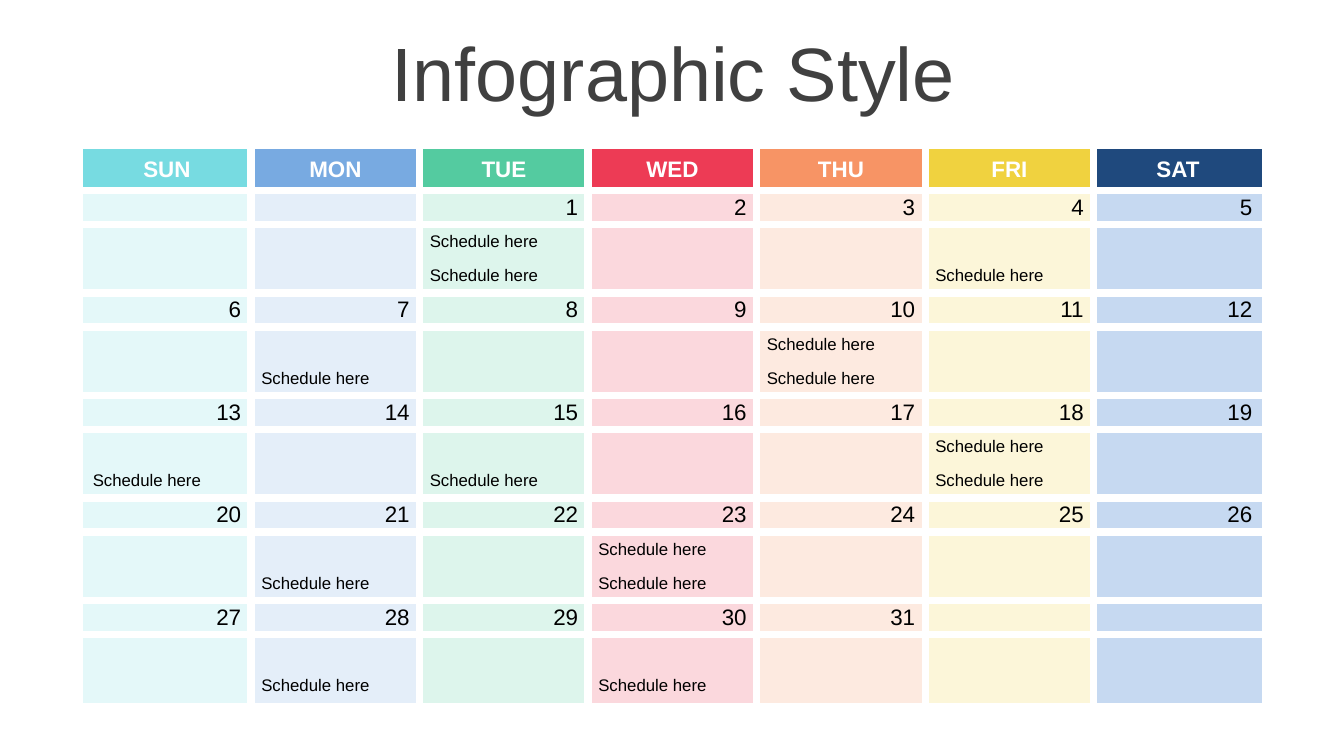
import pptx
import pptx.util
import pptx.dml.color
import pptx.enum.text
import pptx.oxml
import pptx.oxml.ns

Inches = pptx.util.Inches
Pt = pptx.util.Pt
RGBColor = pptx.dml.color.RGBColor
ALIGN = pptx.enum.text.PP_ALIGN
MIDDLE = pptx.enum.text.MSO_ANCHOR.MIDDLE

WHITE = RGBColor(0xFF, 0xFF, 0xFF)
BLACK = RGBColor(0x00, 0x00, 0x00)
TITLE_GREY = RGBColor(0x40, 0x40, 0x40)

# Weekday, header colour, day colour
WEEKDAYS = [
    ("SUN", RGBColor(0x77, 0xDB, 0xE1), RGBColor(0xE4, 0xF8, 0xF9)),
    ("MON", RGBColor(0x78, 0xAA, 0xE1), RGBColor(0xE4, 0xEE, 0xF9)),
    ("TUE", RGBColor(0x54, 0xCB, 0xA0), RGBColor(0xDD, 0xF5, 0xEC)),
    ("WED", RGBColor(0xED, 0x3B, 0x55), RGBColor(0xFB, 0xD8, 0xDD)),
    ("THU", RGBColor(0xF7, 0x94, 0x65), RGBColor(0xFD, 0xEA, 0xE0)),
    ("FRI", RGBColor(0xF0, 0xD2, 0x3F), RGBColor(0xFC, 0xF6, 0xD9)),
    ("SAT", RGBColor(0x1F, 0x49, 0x7D), RGBColor(0xC6, 0xD9, 0xF1)),
]
WEEKS = 5
ROWS_PER_WEEK = 3
BODY_ROWS = WEEKS * ROWS_PER_WEEK
FIRST_COLUMN = 2  # day 1 is a Tuesday
LAST_DAY = 31
# Number of schedule entries on each day
ENTRIES = {1: 2, 4: 1, 7: 1, 10: 2, 13: 1, 15: 1, 18: 2, 21: 1, 23: 2, 28: 1, 30: 1}
NO_GRID_STYLE = "{2D5ABB26-0587-4C30-8999-92F81FD0307C}"


def add_text(para, text, size, color, align, bold=False):
    para.alignment = align
    span = para.add_run()
    span.text = text
    span.font.name = "Arial"
    span.font.size = Pt(size)
    span.font.bold = bold
    span.font.color.rgb = color


def style_cell(cell, fill, sides, side_margin):
    """Add white borders on the given sides, then fill and margins."""
    cell.vertical_anchor = MIDDLE
    cell.margin_left = cell.margin_right = Inches(side_margin)
    cell.margin_top = cell.margin_bottom = 0
    properties = cell._tc.get_or_add_tcPr()
    for side in sides:
        properties.append(pptx.oxml.parse_xml(
            f'<a:ln{side} {pptx.oxml.ns.nsdecls("a")} w="{Pt(6)}">'
            f'<a:solidFill><a:srgbClr val="{WHITE}"/></a:solidFill></a:ln{side}>'))
    cell.fill.solid()
    cell.fill.fore_color.rgb = fill


deck = pptx.Presentation()
deck.slide_width = Inches(13.33)
deck.slide_height = Inches(7.5)
page = deck.slides.add_slide(deck.slide_layouts[6])

# Title
box = page.shapes.add_textbox(Inches(0.35), Inches(0.37), Inches(12.66), Inches(0.79))
box.text_frame.word_wrap = True
box.text_frame.vertical_anchor = MIDDLE
para = box.text_frame.paragraphs[0]
para.line_spacing = 0.9
add_text(para, "Infographic Style", 54, TITLE_GREY, ALIGN.CENTER)

# Calendar table
calendar = page.shapes.add_table(
    1 + BODY_ROWS, len(WEEKDAYS),
    Inches(0.82), Inches(1.48), Inches(11.7), Inches(5.5)).table
calendar.first_row = False
calendar.horz_banding = False
calendar._tbl.tblPr.find(pptx.oxml.ns.qn("a:tableStyleId")).text = NO_GRID_STYLE
for row in calendar.rows:
    row.height = Inches((5.5 - 0.41) / BODY_ROWS)
calendar.rows[0].height = Inches(0.41)

for column, (weekday, header_color, day_color) in enumerate(WEEKDAYS):
    calendar.columns[column].width = Inches(11.7 / len(WEEKDAYS))
    sides = [side for side, inner in
             (("L", column > 0), ("R", column < len(WEEKDAYS) - 1)) if inner]

    # Weekday header
    header = calendar.cell(0, column)
    style_cell(header, header_color, sides + ["B"], 0)
    add_text(header.text_frame.paragraphs[0], weekday, 16, WHITE, ALIGN.CENTER, bold=True)

    # Each day has a number row and two entry rows, filled from the bottom
    for week in range(WEEKS):
        day = week * len(WEEKDAYS) + column - FIRST_COLUMN + 1
        for line in range(ROWS_PER_WEEK):
            cell = calendar.cell(1 + week * ROWS_PER_WEEK + line, column)
            edges = list(sides)
            if line == 0:
                edges.append("T")
            elif line == ROWS_PER_WEEK - 1 and week < WEEKS - 1:
                edges.append("B")
            style_cell(cell, day_color, edges, 0.1)
            para = cell.text_frame.paragraphs[0]
            if line == 0 and 1 <= day <= LAST_DAY:
                add_text(para, str(day), 16, BLACK, ALIGN.RIGHT)
            elif line > 0 and line >= ROWS_PER_WEEK - ENTRIES.get(day, 0):
                add_text(para, "Schedule here", 12, BLACK, ALIGN.LEFT)

deck.save("out.pptx")
